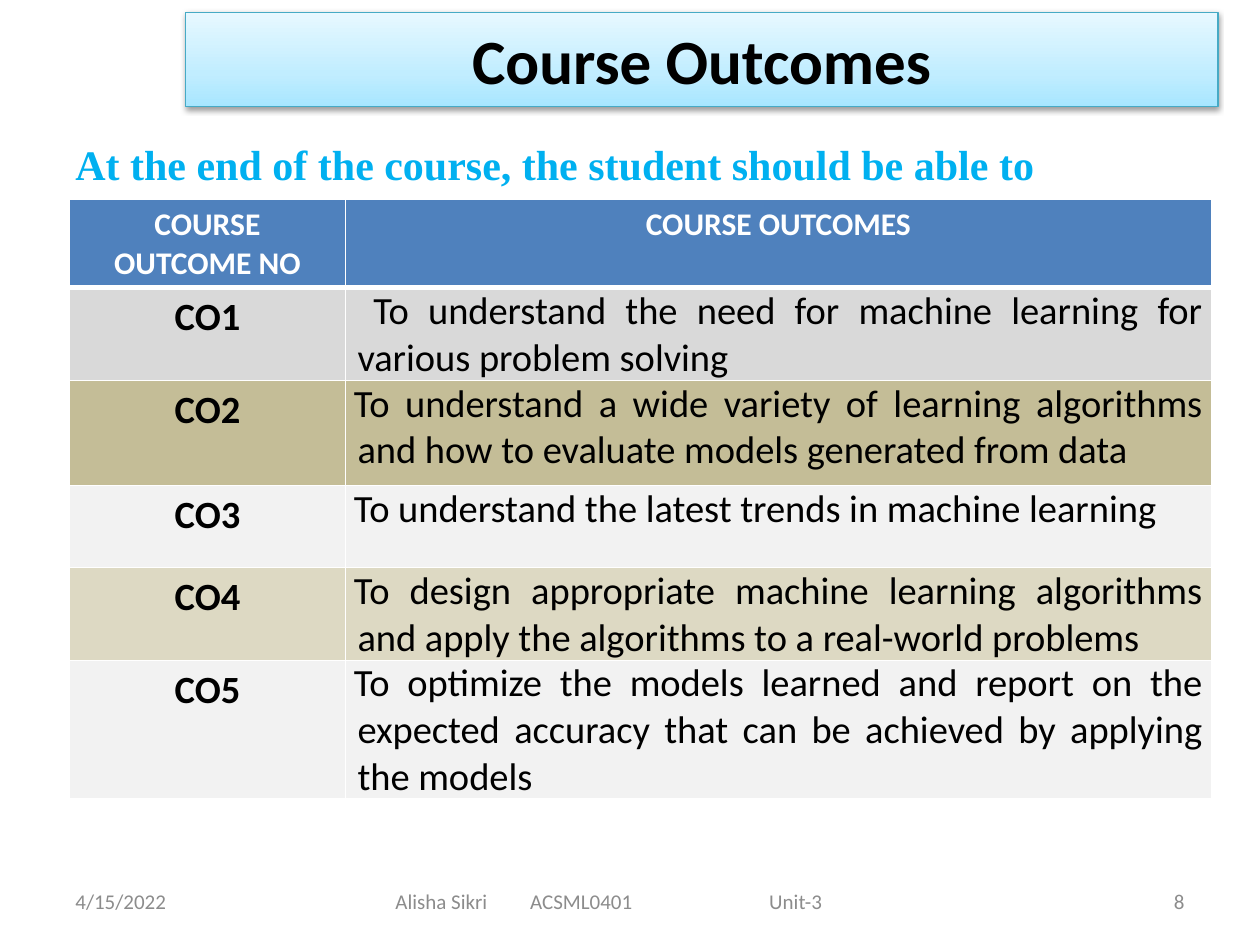
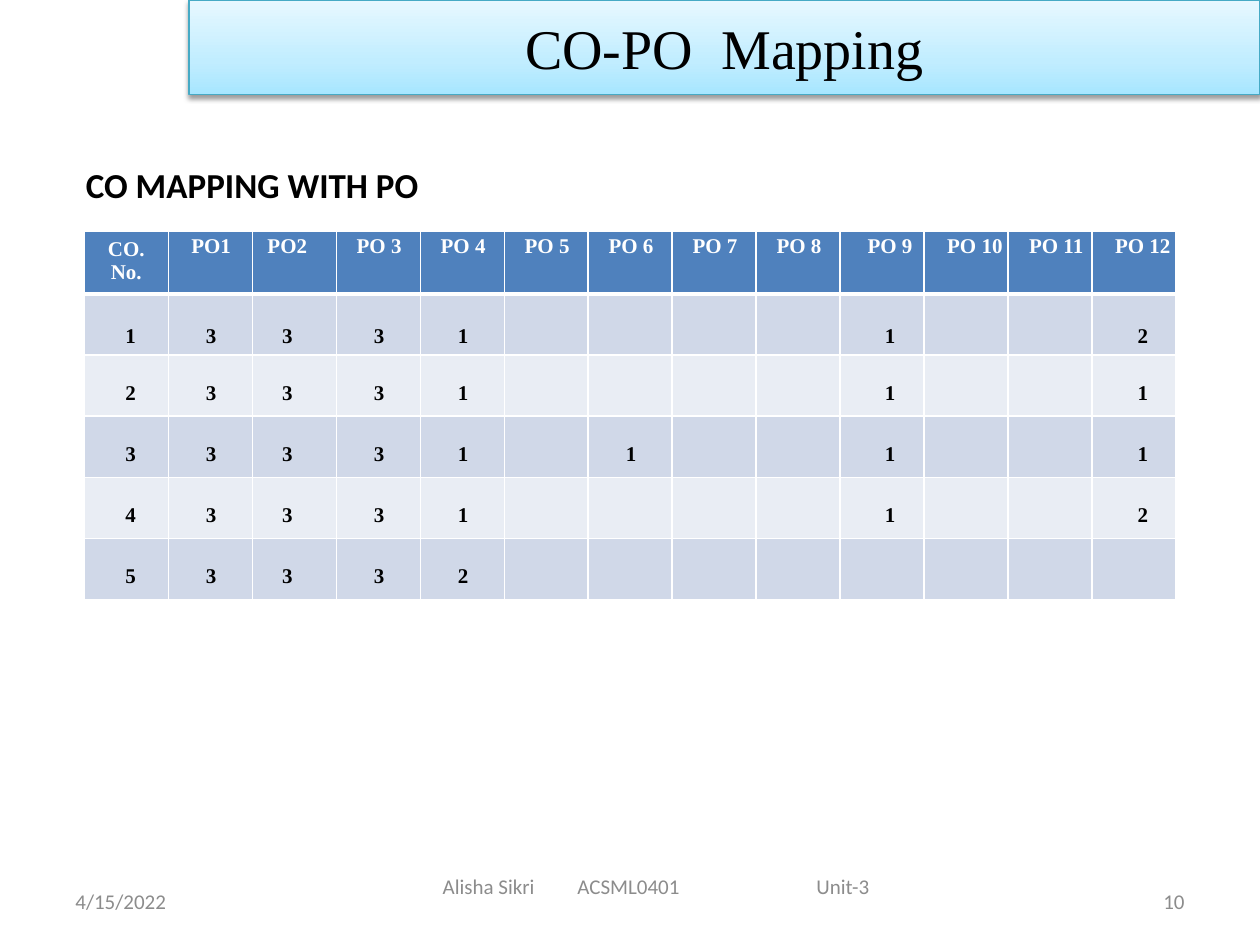
from pptx import Presentation
from pptx.util import Pt
from pptx.enum import shapes, text
from pptx.dml.color import RGBColor
from pptx.oxml import parse_xml
from pptx.oxml.ns import nsdecls

HUES = dict(
    ink="000000", white="FFFFFF", gray="8C8C8C", sky="00B0F0", edge="46AAC5",
    low="A7E6FF", mid="C1EDFF", high="E7F8FF", head="4F81BD",
    odd="D0D8E8", even="E9EDF4",
    ash="D9D9D9", olive="C4BD97", pale="F2F2F2", sand="DDD9C3",
)
SANS, SERIF = "Calibri", "Times New Roman"
ALIGN, ANCHOR = text.PP_ALIGN, text.MSO_ANCHOR
FOOT = dict(size=12, color="gray")
DATE = "4/15/2022"
CREDIT = ["Alisha Sikri", "ACSML0401", "Unit-3"]
STOPS, SPAN = (77, 213.6), 244

GOALS = [
    ("To understand the need for machine learning for various problem solving", "ash", 53),
    ("To understand a wide variety of learning algorithms and how to evaluate "
     "models generated from data", "olive", 60),
    ("To understand the latest trends in machine learning", "pale", 47),
    ("To design appropriate machine learning algorithms and apply the algorithms "
     "to a real-world problems", "sand", 53),
    ("To optimize the models learned and report on the expected accuracy that can "
     "be achieved by applying the models", "pale", 79),
]
POS = ["PO1", "PO2"] + [f"PO {n}" for n in range(3, 13)]
# Marks per outcome: {PO number: level}
MARKS = [
    {1: 3, 2: 3, 3: 3, 4: 1, 9: 1, 12: 2},
    {1: 3, 2: 3, 3: 3, 4: 1, 9: 1, 12: 1},
    {1: 3, 2: 3, 3: 3, 4: 1, 6: 1, 9: 1, 12: 1},
    {1: 3, 2: 3, 3: 3, 4: 1, 9: 1, 12: 2},
    {1: 3, 2: 3, 3: 3, 4: 2},
]
# Left and right insets that move a column's centred text
SHIFTS = {0: (5, 0), 2: (0, 8), 9: (9, 0), 10: (10, 0), 11: (7, 0), 12: (10, 0)}


def rgb(hue):
    return RGBColor.from_string(HUES[hue])


def style(para, size=12, font=SANS, color="ink", bold=False, align=ALIGN.LEFT):
    para.alignment = align
    for key, val in dict(size=Pt(size), name=font, bold=bold).items():
        setattr(para.font, key, val)
    para.font.color.rgb = rgb(color)


def label(slide, box, words, anchor=ANCHOR.TOP, **look):
    frame = slide.shapes.add_textbox(*map(Pt, box)).text_frame
    frame.word_wrap = True
    frame.vertical_anchor = anchor
    para = frame.paragraphs[0]
    para.text = words
    style(para, **look)
    return frame


def band(slide, box, parts, **look):
    """Title band; each part is (words, letter spacing)."""
    shape = slide.shapes.add_shape(shapes.MSO_SHAPE.RECTANGLE, *map(Pt, box))
    shape.line.color.rgb = rgb("edge")
    shape.line.width = Pt(0.75)
    stops = "".join(
        f'<a:gs pos="{pos}"><a:srgbClr val="{HUES[hue]}"/></a:gs>'
        for pos, hue in ((0, "low"), (35000, "mid"), (100000, "high")))
    props = shape.element.spPr
    props[-1].addprevious(parse_xml(
        f'<a:gradFill {nsdecls("a")}><a:gsLst>{stops}</a:gsLst>'
        '<a:lin ang="16200000" scaled="1"/></a:gradFill>'))
    props.append(parse_xml(
        f'<a:effectLst {nsdecls("a")}><a:outerShdw blurRad="{Pt(3.1)}" dist="{Pt(1.6)}" '
        f'dir="5400000" rotWithShape="0"><a:srgbClr val="{HUES["ink"]}">'
        '<a:alpha val="38000"/></a:srgbClr></a:outerShdw></a:effectLst>'))
    frame = shape.text_frame
    frame.vertical_anchor = ANCHOR.MIDDLE
    para = frame.paragraphs[0]
    for words, gap in parts:
        run = para.add_run()
        run.text = words
        if gap:
            run._r.get_or_add_rPr().set("spc", str(gap * 100))
    style(para, align=ALIGN.CENTER, **look)


def footer(slide, number, box):
    """Date, page number, and the credit line centred in its box."""
    label(slide, (36, 500.5, 168, 28.75), DATE, ANCHOR.MIDDLE, **FOOT)
    label(slide, (516, 500.5, 168, 28.75), str(number), ANCHOR.MIDDLE,
          align=ALIGN.RIGHT, **FOOT)
    frame = label(slide, box, "\t".join(CREDIT), ANCHOR.MIDDLE)
    frame.margin_left = Pt((box[2] - SPAN) / 2)
    frame.margin_right = 0
    para = frame.paragraphs[0]
    tabs = "".join(f'<a:tab pos="{Pt(stop)}" algn="l"/>' for stop in STOPS)
    props = para._p.get_or_add_pPr()
    props.insert(0, parse_xml(f'<a:tabLst {nsdecls("a")}>{tabs}</a:tabLst>'))
    style(para, **FOOT)


def grid(slide, spot, cols, rows):
    size = sum(cols), sum(rows)
    table = slide.shapes.add_table(len(rows), len(cols), *map(Pt, (*spot, *size))).table
    table.first_row = table.horz_banding = False
    for col, width in zip(table.columns, cols):
        col.width = Pt(width)
    for row, height in zip(table.rows, rows):
        row.height = Pt(height)
    return table


def fill(cell, words, hue, head=False, pads=None, anchor=ANCHOR.TOP, **look):
    """Borders, fill, insets (left, top, right, bottom) and text of a cell."""
    props = cell._tc.get_or_add_tcPr()
    for side in "LRTB":
        wide = 3 if head and side == "B" else 1
        props.append(parse_xml(
            f'<a:ln{side} {nsdecls("a")} w="{Pt(wide)}"><a:solidFill>'
            f'<a:srgbClr val="{HUES["white"]}"/></a:solidFill></a:ln{side}>'))
    cell.fill.solid()
    cell.fill.fore_color.rgb = rgb(hue)
    cell.vertical_anchor = anchor
    for side, pad in zip(("left", "top", "right", "bottom"), pads or ()):
        setattr(cell, f"margin_{side}", Pt(pad))
    para = cell.text_frame.paragraphs[0]
    para.text = words
    style(para, color="white" if head else "ink", **look)
    return para


def goals(slide, spot):
    table = grid(slide, spot, (157.5, 495), [50] + [goal[2] for goal in GOALS])
    mid = dict(bold=True, align=ALIGN.CENTER)
    for col, words in enumerate(("COURSE OUTCOME NO", "COURSE OUTCOMES")):
        fill(table.cell(0, col), words, "head", head=True, size=18, **mid)
    for row, (words, hue, _) in enumerate(GOALS, 1):
        fill(table.cell(row, 0), f"CO{row}", hue, size=22, **mid)
        para = fill(table.cell(row, 1), words, hue, pads=(5, 0, 5, 0),
                    size=22, align=ALIGN.JUSTIFY)
        props = para._p.get_or_add_pPr()
        props.set("marL", str(Pt(2)))
        props.set("indent", str(Pt(9 if row == 1 else -2)))


def matrix(slide, spot):
    table = grid(slide, spot, [48] * (len(POS) + 1), [34.92] * (len(MARKS) + 1))
    look = dict(size=12, font=SERIF, bold=True, align=ALIGN.CENTER)
    fill(table.cell(0, 0), "CO. No.", "head", head=True, **look)
    for col in range(len(POS) + 1):
        left, right = SHIFTS.get(col, (1, 0))
        if col:
            para = fill(table.cell(0, col), POS[col - 1], "head", head=True,
                        pads=(left, 0, right, 0), **look)
            para.line_spacing = 1.15
        for row, marks in enumerate(MARKS, 1):
            words = marks.get(col, "") if col else row
            fill(table.cell(row, col), str(words), "odd" if row % 2 else "even",
                 pads=(left, 14 if row == 1 else 9, right, 0),
                 anchor=ANCHOR.MIDDLE, **look)


def aims(slide):
    band(slide, (106, 7, 590, 54), [("Course Outcomes", 0)], size=36, bold=True)
    label(slide, (36, 75.6, 570, 36), "At the end of the course, the student should be able to",
          size=24, font=SERIF, color="sky", bold=True)
    goals(slide, (39.8, 114))
    footer(slide, 8, (42, 500.5, 612, 28.75))


def links(slide):
    band(slide, (108, 0, 612, 54), [("CO-PO", 0), (" ", 8), ("Mapping", 0)],
         size=32, font=SERIF)
    label(slide, (42, 90, 648, 372), "CO MAPPING WITH PO", size=20, bold=True,
          align=ALIGN.JUSTIFY)
    matrix(slide, (48.2, 132))
    footer(slide, 10, (156, 492, 438, 28.75))


def main():
    deck = Presentation()
    deck.slide_width, deck.slide_height = Pt(720), Pt(540)
    for build in (aims, links):
        build(deck.slides.add_slide(deck.slide_layouts[6]))
    deck.save("out.pptx")


if __name__ == "__main__":
    main()
